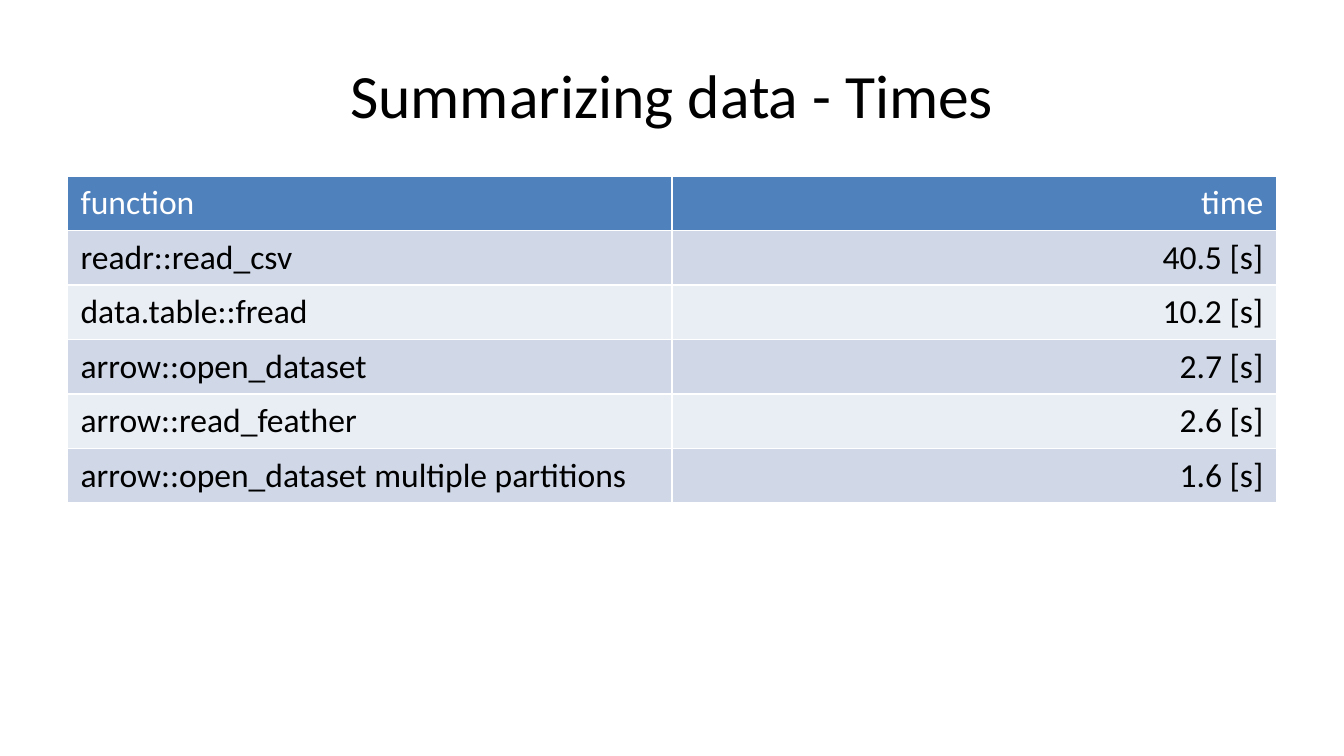
from pptx import Presentation
from pptx.dml.color import RGBColor
from pptx.enum import text
from pptx.util import Inches, Pt

ROWS = [
    ("function", "time"),
    ("readr::read_csv", "40.5 [s]"),
    ("data.table::fread", "10.2 [s]"),
    ("arrow::open_dataset", "2.7 [s]"),
    ("arrow::read_feather", "2.6 [s]"),
    ("arrow::open_dataset multiple partitions", "1.6 [s]"),
]
ALIGNS = (text.PP_ALIGN.LEFT, text.PP_ALIGN.RIGHT)
HEAD, BANDS = "4F81BD", ("E9EDF4", "D0D8E8")


def rgb(code):
    return RGBColor.from_string(code)


def write(frame, words, size=18, color="000000", align=text.PP_ALIGN.LEFT):
    par = frame.paragraphs[0]
    par.alignment = align
    run = par.add_run()
    run.text = words
    run.font.name = "Calibri"
    run.font.size = Pt(size)
    run.font.bold = False
    run.font.color.rgb = rgb(color)


deck = Presentation()
deck.slide_width = Inches(10)
deck.slide_height = Inches(10 * 9 / 16)
slide = deck.slides.add_slide(deck.slide_layouts[5])

title = slide.shapes.title
title.left, title.top = Inches(0.5), Inches(0.23)
title.width, title.height = Inches(9), Inches(0.94)
title.text_frame.vertical_anchor = text.MSO_ANCHOR.MIDDLE
write(title.text_frame, "Summarizing data - Times", size=33,
      align=text.PP_ALIGN.CENTER)

# The default table style supplies the white cell borders.
grid = slide.shapes.add_table(
    len(ROWS), 2, Inches(0.5), Inches(1.31), Inches(9), Inches(3.71))
table = grid.table

for r, row in enumerate(ROWS):
    table.rows[r].height = Inches(0)  # rows grow to fit their text
    fill = BANDS[r % 2] if r else HEAD
    ink = "000000" if r else "FFFFFF"
    for c, words in enumerate(row):
        cell = table.cell(r, c)
        cell.fill.solid()
        cell.fill.fore_color.rgb = rgb(fill)
        write(cell.text_frame, words, color=ink, align=ALIGNS[c])

grid.height = Inches(3.71)
deck.save("out.pptx")
